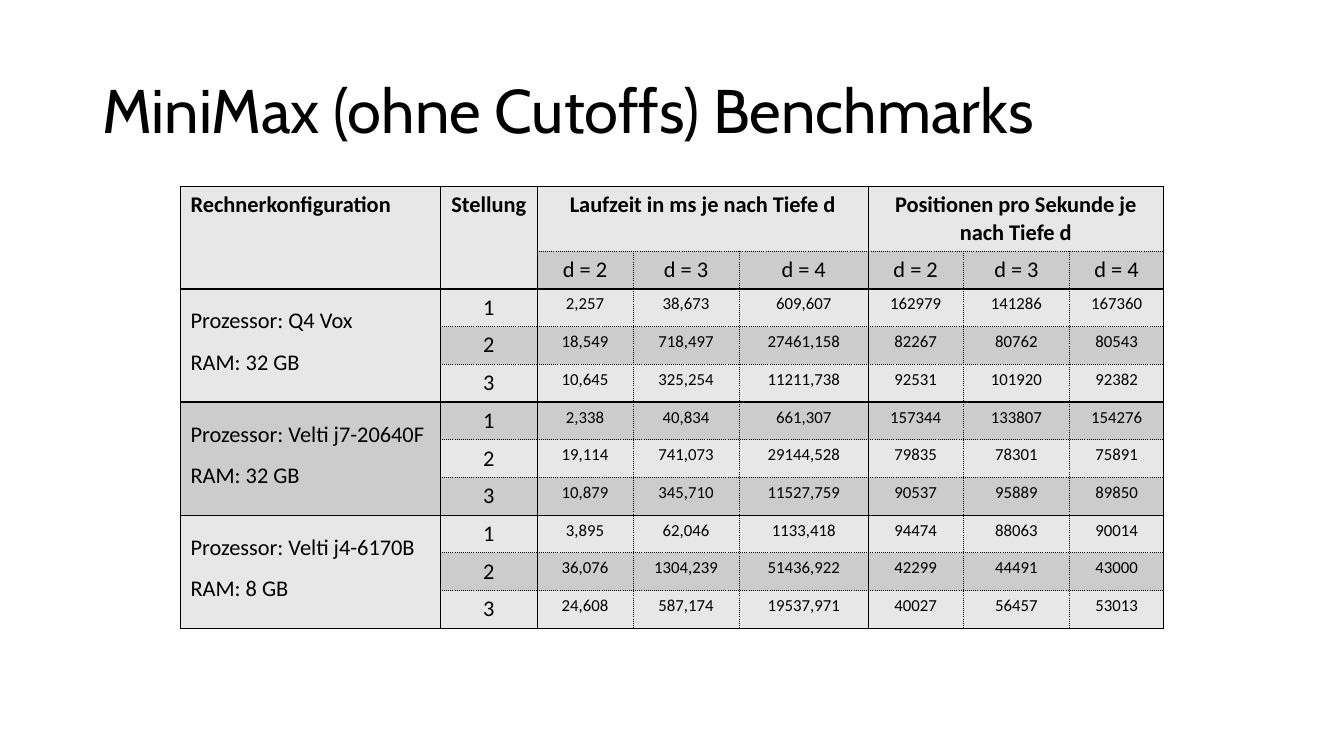
from pptx import Presentation
from pptx.dml.color import RGBColor
from pptx.enum.text import MSO_ANCHOR, PP_ALIGN
from pptx.oxml.ns import qn
from pptx.util import Cm, Pt
from lxml.etree import SubElement

BLACK = RGBColor(0x00, 0x00, 0x00)
LIGHT_GRAY = RGBColor(0xE7, 0xE7, 0xE7)
MID_GRAY = RGBColor(0xCC, 0xCC, 0xCC)

COLUMN_WIDTHS = [6.55, 2.44, 2.41, 2.68, 3.25, 2.39, 2.69, 2.36]
ROW_HEIGHTS = [1.63, 0.94] + [0.95] * 9
SOLID_COLUMN_EDGES = {0, 1, 2, 5, 8}
SOLID_ROW_EDGES = {0, 2, 5, 8, 11}

DEPTHS = ["d = 2", "d = 3", "d = 4"]
BENCHMARKS = [
    ("Prozessor: Q4 Vox", "RAM: 32 GB", [
        ["2,257", "38,673", "609,607", "162979", "141286", "167360"],
        ["18,549", "718,497", "27461,158", "82267", "80762", "80543"],
        ["10,645", "325,254", "11211,738", "92531", "101920", "92382"],
    ]),
    ("Prozessor: Velti j7-20640F", "RAM: 32 GB", [
        ["2,338", "40,834", "661,307", "157344", "133807", "154276"],
        ["19,114", "741,073", "29144,528", "79835", "78301", "75891"],
        ["10,879", "345,710", "11527,759", "90537", "95889", "89850"],
    ]),
    ("Prozessor: Velti j4-6170B", "RAM: 8 GB", [
        ["3,895", "62,046", "1133,418", "94474", "88063", "90014"],
        ["36,076", "1304,239", "51436,922", "42299", "44491", "43000"],
        ["24,608", "587,174", "19537,971", "40027", "56457", "53013"],
    ]),
]


def style_paragraph(paragraph, font_name, size, bold=False):
    font = paragraph.font
    font.name = font_name
    font.size = Pt(size)
    font.bold = bold
    font.color.rgb = BLACK


def add_title(slide, text):
    shape = slide.shapes.add_textbox(Cm(2.33), Cm(1.01), Cm(29.21), Cm(3.68))
    frame = shape.text_frame
    frame.word_wrap = True
    frame.vertical_anchor = MSO_ANCHOR.MIDDLE
    paragraph = frame.paragraphs[0]
    paragraph.text = text
    paragraph.line_spacing = 0.9
    style_paragraph(paragraph, "Cabin", 44)


def write_cell(cell, text, size=16, bold=False, align=PP_ALIGN.CENTER, spacing=None):
    cell.text = text
    for paragraph in cell.text_frame.paragraphs:
        paragraph.alignment = align
        paragraph.line_spacing = spacing
        style_paragraph(paragraph, "Calibri", size, bold)


def add_border(cell, side, solid):
    line = SubElement(cell._tc.get_or_add_tcPr(), qn(f"a:{side}"))
    line.set("w", str(Pt(1) if solid else Pt(0.5)))
    fill = SubElement(line, qn("a:solidFill"))
    SubElement(fill, qn("a:srgbClr")).set("val", str(BLACK))
    SubElement(line, qn("a:prstDash")).set("val", "solid" if solid else "sysDot")


def format_cell(cell, row, column):
    header = row == 0
    merged_down = column == 0 or (column == 1 and row < 2)
    add_border(cell, "lnL", header or column in SOLID_COLUMN_EDGES)
    add_border(cell, "lnR", header or column + 1 in SOLID_COLUMN_EDGES)
    add_border(cell, "lnT", merged_down or row in SOLID_ROW_EDGES)
    add_border(cell, "lnB", merged_down or row + 1 in SOLID_ROW_EDGES)
    cell.fill.solid()
    cell.fill.fore_color.rgb = MID_GRAY if row % 2 else LIGHT_GRAY


def write_header(table):
    for column in (0, 1):
        table.cell(0, column).merge(table.cell(1, column))
    write_cell(table.cell(0, 0), "Rechnerkonfiguration", bold=True, align=PP_ALIGN.LEFT)
    write_cell(table.cell(0, 1), "Stellung", bold=True)
    groups = [(2, "Laufzeit in ms je nach Tiefe d"),
              (5, "Positionen pro Sekunde je nach Tiefe d")]
    for start, heading in groups:
        table.cell(0, start).merge(table.cell(0, start + 2))
        write_cell(table.cell(0, start), heading, bold=True)
        for column, depth in enumerate(DEPTHS, start):
            write_cell(table.cell(1, column), depth)


def write_benchmark(table, top, processor, memory, positions):
    table.cell(top, 0).merge(table.cell(top + 2, 0))
    write_cell(table.cell(top, 0), f"{processor}\n{memory}",
               align=PP_ALIGN.LEFT, spacing=1.5)
    for number, values in enumerate(positions, 1):
        row = top + number - 1
        write_cell(table.cell(row, 1), str(number))
        for column, value in enumerate(values, 2):
            write_cell(table.cell(row, column), value, size=12)


def add_benchmark_table(slide):
    shape = slide.shapes.add_table(
        len(ROW_HEIGHTS), len(COLUMN_WIDTHS), Cm(4.55), Cm(4.7),
        Cm(sum(COLUMN_WIDTHS)), Cm(sum(ROW_HEIGHTS)))
    table = shape.table
    table.first_row = False
    table.horz_banding = False
    for column, width in zip(table.columns, COLUMN_WIDTHS):
        column.width = Cm(width)
    for row, height in zip(table.rows, ROW_HEIGHTS):
        row.height = Cm(height)
    for row in range(len(ROW_HEIGHTS)):
        for column in range(len(COLUMN_WIDTHS)):
            format_cell(table.cell(row, column), row, column)
    write_header(table)
    for index, (processor, memory, positions) in enumerate(BENCHMARKS):
        write_benchmark(table, 2 + 3 * index, processor, memory, positions)


def main():
    presentation = Presentation()
    presentation.slide_width = Cm(33.87)
    presentation.slide_height = Cm(19.05)
    slide = presentation.slides.add_slide(presentation.slide_layouts[6])
    add_benchmark_table(slide)
    add_title(slide, "MiniMax (ohne Cutoffs) Benchmarks")
    presentation.save("out.pptx")


if __name__ == "__main__":
    main()
